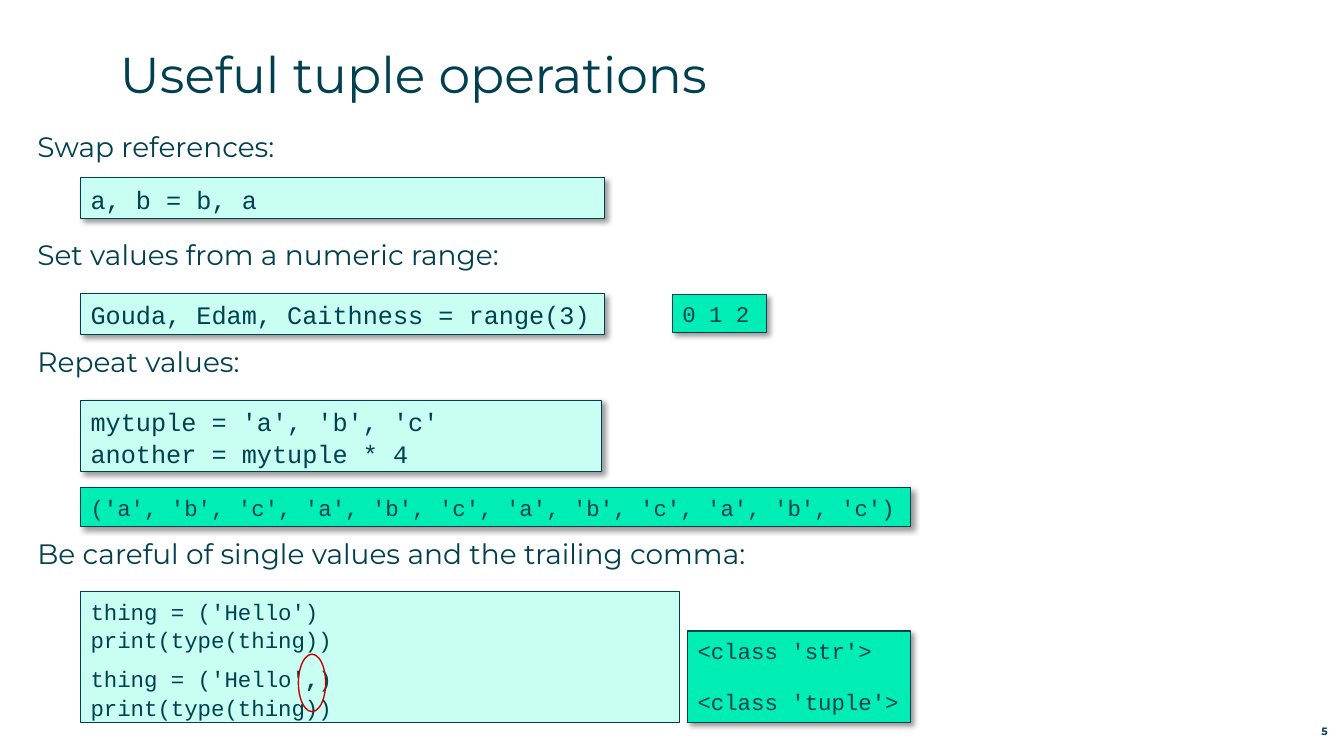
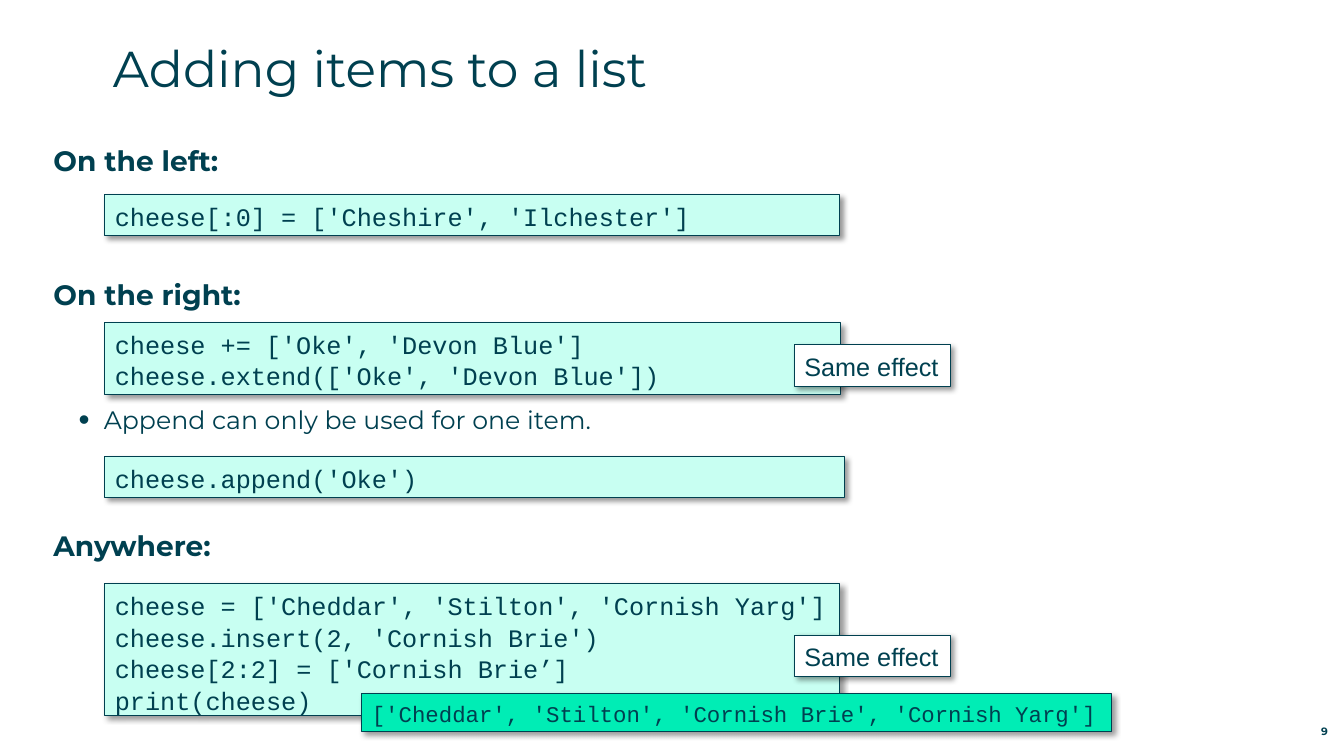
from lxml import etree
from pptx import Presentation
from pptx.dml.color import RGBColor
from pptx.enum.shapes import MSO_SHAPE
from pptx.enum.text import MSO_ANCHOR, MSO_AUTO_SIZE, PP_ALIGN
from pptx.oxml import parse_xml
from pptx.oxml.ns import nsdecls, qn
from pptx.util import Inches, Pt

INK = RGBColor(0x00, 0x40, 0x50)
CODE_FILL = RGBColor(0xC8, 0xFF, 0xF2)
OUTPUT_FILL = RGBColor(0x00, 0xED, 0xB5)
WHITE = RGBColor(0xFF, 0xFF, 0xFF)
RED = RGBColor(0xC8, 0x00, 0x00)

BODY_FONT = "Montserrat"
CODE_FONT = "Courier New"
NOTE_FONT = "Arial"
LINE_SPACING = 1.05

SHADOW = f"""<a:effectLst {nsdecls("a")}>
  <a:outerShdw blurRad="{Pt(4)}" dist="{Pt(3)}" dir="2700000" algn="tl" rotWithShape="0">
    <a:srgbClr val="000000"><a:alpha val="40000"/></a:srgbClr>
  </a:outerShdw>
</a:effectLst>"""


def add_bullet(paragraph):
    properties = paragraph._p.get_or_add_pPr()
    properties.set("marL", str(Inches(0.5)))
    properties.set("indent", str(Inches(-0.25)))
    etree.SubElement(properties, qn("a:buSzPct")).set("val", "125000")
    etree.SubElement(properties, qn("a:buFont")).set("typeface", NOTE_FONT)
    etree.SubElement(properties, qn("a:buChar")).set("char", "•")


def write_paragraph(paragraph, text, size=20, font=BODY_FONT, bold=False,
                    align=PP_ALIGN.LEFT, before=0, bullet=False):
    """Fill a paragraph with text, a string or a list of (text, bold) runs."""
    paragraph.alignment = align
    paragraph.line_spacing = LINE_SPACING
    paragraph.space_before = Pt(before)
    if bullet:
        add_bullet(paragraph)
    runs = [(text, bold)] if isinstance(text, str) else text
    for run_text, run_bold in runs:
        run = paragraph.add_run()
        run.text = run_text
        run.font.name = font
        run.font.size = Pt(size)
        run.font.bold = run_bold
        run.font.color.rgb = INK


def write_frame(frame, paragraphs, margins=None, anchor=MSO_ANCHOR.TOP, **style):
    """Write (text, overrides) pairs or plain strings, one paragraph each."""
    frame.word_wrap = True
    frame.auto_size = MSO_AUTO_SIZE.NONE
    frame.vertical_anchor = anchor
    if margins is not None:
        frame.margin_left = frame.margin_top = margins
        frame.margin_right = frame.margin_bottom = margins
    for index, item in enumerate(paragraphs):
        text, overrides = item if isinstance(item, tuple) else (item, {})
        paragraph = frame.paragraphs[0] if index == 0 else frame.add_paragraph()
        write_paragraph(paragraph, text, **{**style, **overrides})


def add_text(slide, left, top, width, height, paragraphs, **style):
    box = slide.shapes.add_textbox(Inches(left), Inches(top), Inches(width), Inches(height))
    write_frame(box.text_frame, paragraphs, margins=0, **style)


def add_panel(slide, left, top, width, height, paragraphs, fill=CODE_FILL,
              shadow=True, size=18, font=CODE_FONT):
    panel = slide.shapes.add_shape(MSO_SHAPE.RECTANGLE, Inches(left), Inches(top),
                                   Inches(width), Inches(height))
    panel.fill.solid()
    panel.fill.fore_color.rgb = fill
    panel.line.color.rgb = INK
    panel.line.width = Pt(0.75)
    if shadow:
        panel._element.spPr.append(parse_xml(SHADOW))
    else:
        panel.shadow.inherit = False
    write_frame(panel.text_frame, paragraphs, size=size, font=font)
    panel.text_frame.margin_right = 0


def add_output(slide, left, top, width, height, paragraphs):
    add_panel(slide, left, top, width, height, paragraphs, fill=OUTPUT_FILL, size=16)


def add_note(slide, top):
    add_panel(slide, 7.88, top, 1.55, 0.41, ["Same effect"], fill=WHITE, font=NOTE_FONT)


def add_ring(slide, left, top, width, height):
    ring = slide.shapes.add_shape(MSO_SHAPE.OVAL, Inches(left), Inches(top),
                                  Inches(width), Inches(height))
    ring.shadow.inherit = False
    ring.fill.background()
    ring.line.color.rgb = RED
    ring.line.width = Pt(1)


def add_titled_slide(presentation, title, left, top, number):
    slide = presentation.slides.add_slide(presentation.slide_layouts[5])
    shape = slide.shapes.title
    shape.left, shape.top = Inches(left), Inches(top)
    shape.width, shape.height = Inches(12), Inches(0.88)
    write_frame(shape.text_frame, [title], margins=0, size=36)
    add_text(slide, 12.31, 7.12, 0.86, 0.2, [str(number)], anchor=MSO_ANCHOR.BOTTOM,
             size=7.6, bold=True, align=PP_ALIGN.RIGHT)
    return slide


def build_tuple_slide(presentation):
    slide = add_titled_slide(presentation, "Useful tuple operations", 1.19, 0.4, 5)
    add_text(slide, 0.37, 1.27, 12.81, 5.7, [
        "Swap references:",
        ("Set values from a numeric range:", {"before": 51.5}),
        ("Repeat values:", {"before": 51.5}),
        ("Be careful of single values and the trailing comma:", {"before": 112.3}),
    ])
    code_left = 0.8
    add_panel(slide, code_left, 1.76, 5.2, 0.41, ["a, b = b, a"])
    add_panel(slide, code_left, 2.91, 5.2, 0.41, ["Gouda, Edam, Caithness = range(3)"])
    add_output(slide, 6.67, 2.92, 0.93, 0.38, ["0 1 2"])
    add_panel(slide, code_left, 3.97, 5.17, 0.71,
              ["mytuple = 'a', 'b', 'c'", "another = mytuple * 4"])
    add_output(slide, code_left, 4.84, 8.23, 0.38,
               ["('a', 'b', 'c', 'a', 'b', 'c', 'a', 'b', 'c', 'a', 'b', 'c')"])
    add_panel(slide, code_left, 5.87, 5.94, 1.3, [
        "thing = ('Hello')",
        "print(type(thing))",
        ([("thing = ('Hello'", False), (",", True), (")", False)], {"before": 8}),
        "print(type(thing))",
    ], shadow=False, size=16)
    add_ring(slide, 2.96, 6.49, 0.27, 0.57)
    add_output(slide, 6.82, 6.26, 2.21, 0.91,
               ["<class 'str'>", ("<class 'tuple'>", {"before": 16.5})])


def build_list_slide(presentation):
    slide = add_titled_slide(presentation, "Adding items to a list", 1.12, 0.34, 9)
    add_text(slide, 0.53, 1.41, 12.59, 5.42, [
        "On the left:",
        ("On the right:", {"before": 70}),
        ("Append can only be used for one item.",
         {"before": 66, "size": 18, "bold": False, "bullet": True}),
        ("Anywhere:", {"before": 66}),
    ], bold=True)
    code_left = 1.04
    add_panel(slide, code_left, 1.93, 7.29, 0.41, ["cheese[:0] = ['Cheshire', 'Ilchester']"])
    add_panel(slide, code_left, 3.2, 7.3, 0.71,
              ["cheese += ['Oke', 'Devon Blue']", "cheese.extend(['Oke', 'Devon Blue'])"])
    add_note(slide, 3.42)
    add_panel(slide, code_left, 4.53, 7.34, 0.41, ["cheese.append('Oke')"])
    add_panel(slide, code_left, 5.79, 7.29, 1.31, [
        "cheese = ['Cheddar', 'Stilton', 'Cornish Yarg']",
        "cheese.insert(2, 'Cornish Brie')",
        "cheese[2:2] = ['Cornish Brie’]",
        "print(cheese)",
    ])
    add_output(slide, 3.59, 6.88, 7.43, 0.38,
               ["['Cheddar', 'Stilton', 'Cornish Brie', 'Cornish Yarg']"])
    add_note(slide, 6.3)


def main():
    presentation = Presentation()
    presentation.slide_width = Inches(13.33)
    presentation.slide_height = Inches(7.5)
    build_tuple_slide(presentation)
    build_list_slide(presentation)
    presentation.save("out.pptx")


if __name__ == "__main__":
    main()
